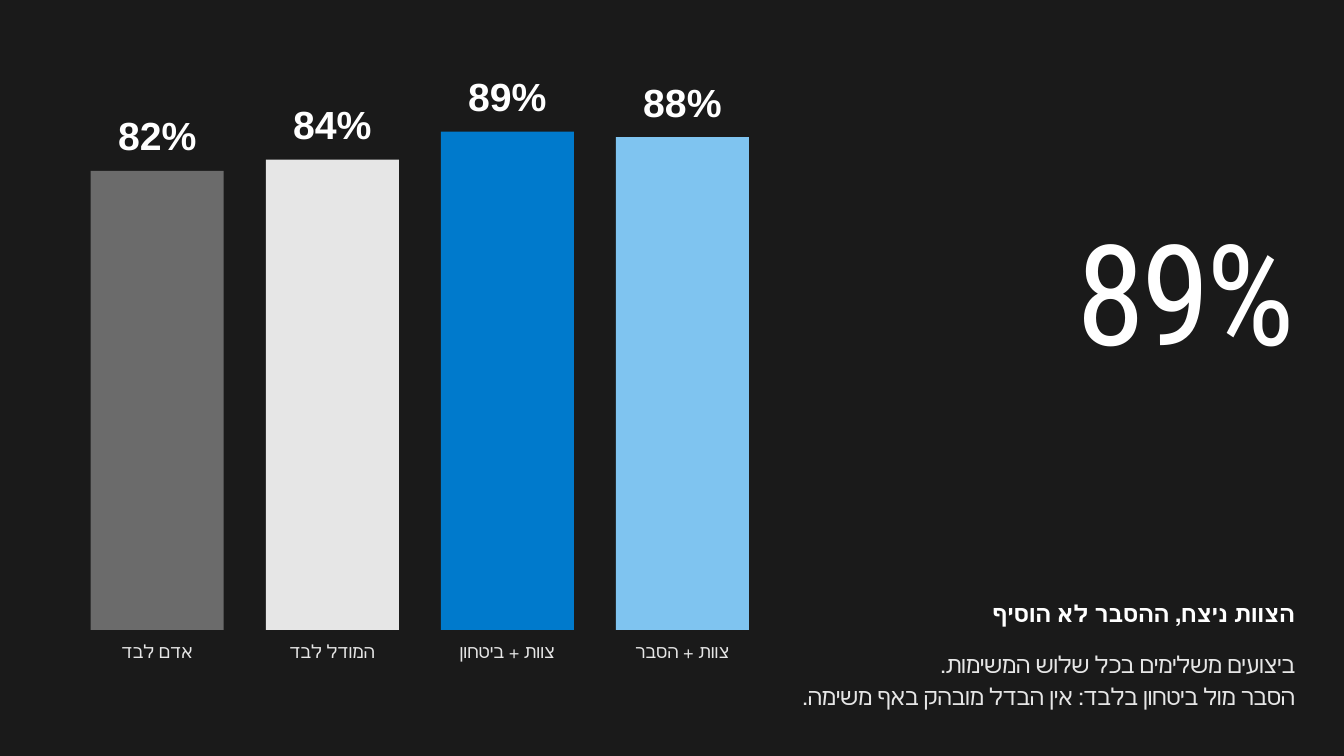
from lxml import etree
from pptx import Presentation
from pptx import util as u
from pptx.dml.color import RGBColor
from pptx.enum import shapes, text
from pptx.oxml.ns import qn

WHITE, PALE = "FFFFFF", "E6E6E6"
RIGHT, CENTER = text.PP_ALIGN.RIGHT, text.PP_ALIGN.CENTER
BARS = [
    ("אדם לבד", 82, "6B6B6B"),
    ("המודל לבד", 84, PALE),
    ("צוות + ביטחון", 89, "007ACC"),
    ("צוות + הסבר", 88, "7FC4F0"),
]
FIRST_LEFT, PITCH, BAR_WIDTH = 1.35, 2.605, 1.98
BASELINE = 9.375
INCHES_PER_PERCENT = 1 / 12


def color(value):
    return RGBColor.from_string(value)


def write(shape, box, lines, spacing, fill, align=RIGHT, rtl=True, tracking=0, **font):
    """Place a text shape and fill it with formatted lines."""
    shape.left, shape.top, shape.width, shape.height = map(u.Inches, box)
    frame = shape.text_frame
    frame.text = "\n".join(lines)
    settings = dict(margin_left=0, margin_right=0, margin_top=0, margin_bottom=0, word_wrap=True,
                    vertical_anchor=text.MSO_ANCHOR.TOP, auto_size=text.MSO_AUTO_SIZE.SHAPE_TO_FIT_TEXT)
    for name, value in settings.items():
        setattr(frame, name, value)
    for paragraph in frame.paragraphs:
        properties = paragraph._p.get_or_add_pPr()
        for name, value in dict(marL=0, indent=0, rtl=int(rtl)).items():
            properties.set(name, str(value))
        etree.SubElement(properties, qn("a:buNone"))
        paragraph.alignment = align
        paragraph.line_spacing = u.Pt(spacing)
        paragraph.space_before = u.Pt(0)
        run = paragraph.runs[0]
        for name, value in font.items():
            setattr(run.font, name, value)
        run.font.color.rgb = color(fill)
        run._r.get_or_add_rPr().set("spc", str(tracking))


presentation = Presentation()
presentation.slide_width, presentation.slide_height = u.Inches(20), u.Inches(11.25)
slide = presentation.slides.add_slide(presentation.slide_layouts[1])
slide.background.fill.solid()
slide.background.fill.fore_color.rgb = color("1A1A1A")

# Headline figure, conclusion and explanation
figure = slide.shapes.add_textbox(0, 0, 0, 0)
write(figure, (12.6, 3.26, 6.67, 2.36), ["89%"], 165, WHITE, rtl=False, tracking=-450,
      name="Roboto Condensed", size=u.Pt(150))
write(slide.shapes.title, (11.74, 8.92, 7.53, 0.46), ["הצוות ניצח, ההסבר לא הוסיף"], 30, WHITE,
      tracking=-40, name="Arial", size=u.Pt(25), bold=True)
write(slide.placeholders[1], (11.74, 9.6, 7.53, 0.92),
      ["ביצועים משלימים בכל שלוש המשימות.", "הסבר מול ביטחון בלבד: אין הבדל מובהק באף משימה."],
      35, PALE, tracking=-40, name="Arial", size=u.Pt(25))

# Bars with their values above and names below
for index, (label, percent, fill) in enumerate(BARS):
    left = FIRST_LEFT + index * PITCH
    height = percent * INCHES_PER_PERCENT
    top = BASELINE - height
    bar = slide.shapes.add_shape(shapes.MSO_SHAPE.RECTANGLE, u.Inches(left), u.Inches(top),
                                 u.Inches(BAR_WIDTH), u.Inches(height))
    bar.shadow.inherit = False
    bar.fill.solid()
    bar.fill.fore_color.rgb = color(fill)
    bar.line.fill.background()
    write(slide.shapes.add_textbox(0, 0, 0, 0), (left, top - 1, BAR_WIDTH, 0.8), [f"{percent}%"],
          58.8, WHITE, align=CENTER, rtl=False, name="Arial", size=u.Pt(42), bold=True)
    write(slide.shapes.add_textbox(0, 0, 0, 0), (left, 9.47, BAR_WIDTH, 0.38), [label],
          27.3, PALE, align=CENTER, name="Arial", size=u.Pt(19.5))

presentation.save("out.pptx")
